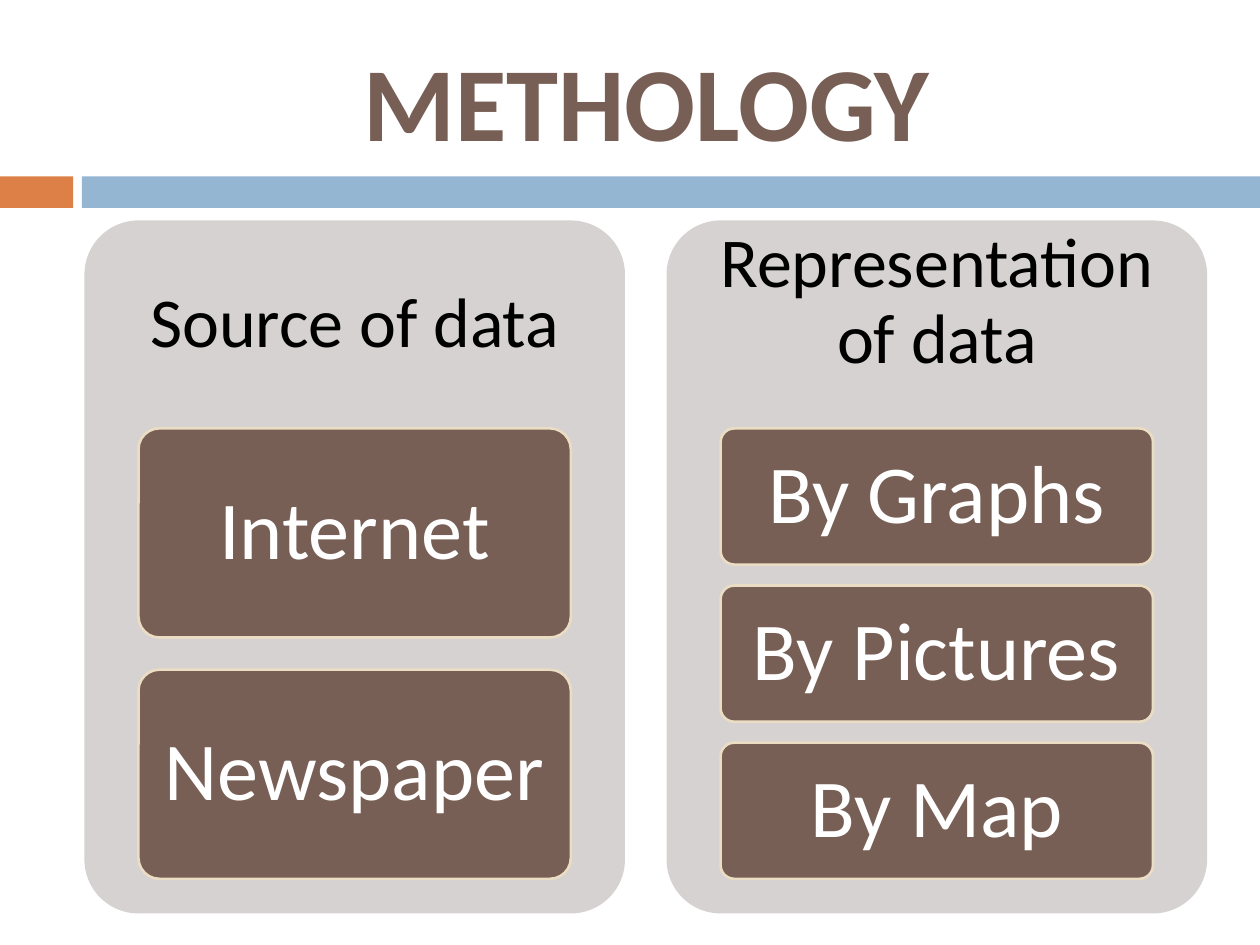
from pptx import Presentation
from pptx.dml.color import RGBColor
from pptx.enum.shapes import MSO_SHAPE as Preset
from pptx.enum.text import MSO_ANCHOR as Anchor, PP_ALIGN as Align
from pptx.util import Inches, Pt

COLUMNS, ROWS = 100, 75
ORANGE, BLUE, BROWN = "DD8047", "94B6D2", "775F55"
GREY, SAND, BLACK, WHITE = "D6D2D1", "EBDDC3", "000000", "FFFFFF"


def colour(code):
    return RGBColor.from_string(code)


def assign(target, values):
    for name, value in values.items():
        setattr(target, name, value)


class Deck:
    font_name = "Calibri"

    def __init__(self):
        self.file = Presentation()
        assign(self.file, {"slide_width": Inches(10), "slide_height": Inches(7.5)})
        self.slide = self.file.slides.add_slide(self.file.slide_layouts[5])

    def area(self, column, row, columns, rows):
        x_step = self.file.slide_width / COLUMNS
        y_step = self.file.slide_height / ROWS
        return [round(share) for share in
                (column * x_step, row * y_step, columns * x_step, rows * y_step)]

    def set_text(self, frame, words, size, ink, bold=False, spacing=0.9, inset=0.05):
        assign(frame, {"word_wrap": True, "vertical_anchor": Anchor.MIDDLE,
                       "margin_left": Inches(inset), "margin_right": Inches(inset),
                       "margin_top": 0, "margin_bottom": 0})
        frame.text = words
        paragraph = frame.paragraphs[0]
        assign(paragraph, {"alignment": Align.CENTER, "line_spacing": spacing})
        assign(paragraph.runs[0].font,
               {"name": self.font_name, "size": Pt(size), "bold": bold})
        paragraph.runs[0].font.color.rgb = colour(ink)

    def title(self, place, words):
        heading = self.slide.shapes.title
        assign(heading, dict(zip(("left", "top", "width", "height"), self.area(*place))))
        self.set_text(heading.text_frame, words, 60, BROWN, bold=True, spacing=1.0)

    def block(self, place, fill, preset=Preset.RECTANGLE, edge=None):
        block = self.slide.shapes.add_shape(preset, *self.area(*place))
        block.shadow.inherit = False
        block.fill.solid()
        block.fill.fore_color.rgb = colour(fill)
        if preset == Preset.ROUNDED_RECTANGLE:
            block.adjustments[0] = 0.1
        if edge:
            block.line.color.rgb = colour(edge)
            block.line.width = Pt(1.5)
        else:
            block.line.fill.background()
        return block

    def label(self, place, words):
        label = self.slide.shapes.add_textbox(*self.area(*place))
        self.set_text(label.text_frame, words, 40, BLACK, inset=0.17)

    def card(self, place, words):
        card = self.block(place, BROWN, Preset.ROUNDED_RECTANGLE, SAND)
        self.set_text(card.text_frame, words, 47, WHITE)

    def panel(self, place, heading, heading_rows, items):
        left, top, width, height = place
        self.block(place, GREY, Preset.ROUNDED_RECTANGLE)
        self.label((left, top, width, heading_rows), heading)
        gap_share = 2 / 13
        count = len(items)
        card_height = 0.65 * height / (count + (count - 1) * gap_share)
        for index, item in enumerate(items):
            card_top = top + 0.3 * height + index * card_height * (1 + gap_share)
            self.card((left + 0.1 * width, card_top, 0.8 * width, card_height), item)


def main():
    deck = Deck()
    deck.block((0, 14, 5.8, 2.5), ORANGE)
    deck.block((6.5, 14, 93.5, 2.5), BLUE)
    deck.title((6.7, 2.5, 89.2, 10.8), "METHOLOGY")
    panels = [
        ("Source of data", 16.5, ["Internet", "Newspaper"]),
        ("Representation of data", 13.1, ["By Graphs", "By Pictures", "By Map"]),
    ]
    for index, (heading, heading_rows, items) in enumerate(panels):
        deck.panel((6.7 + index * 46.2, 17.5, 42.9, 55), heading, heading_rows, items)
    deck.file.save("out.pptx")


if __name__ == "__main__":
    main()
